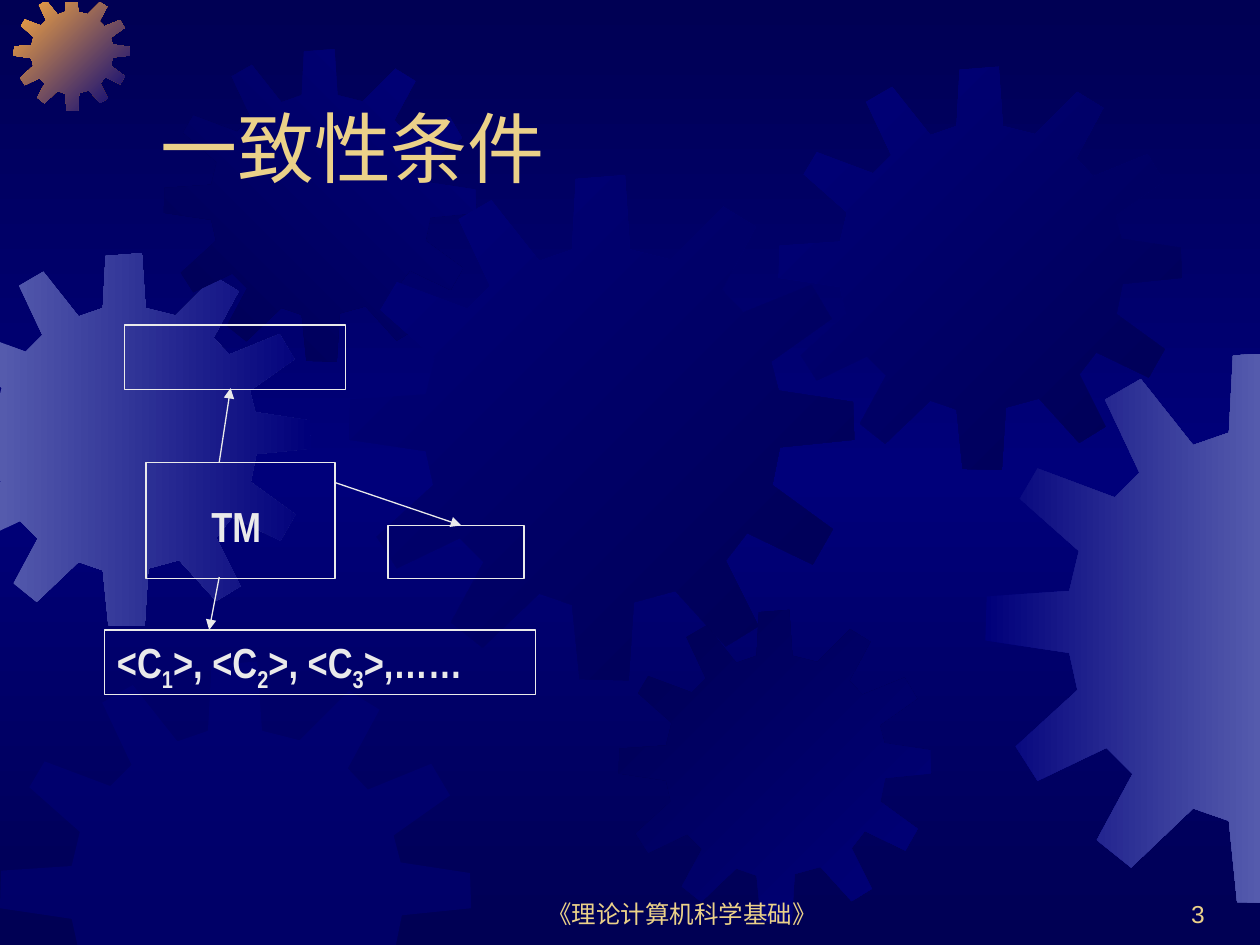
import copy

import pptx
import pptx.dml.color
import pptx.enum.shapes
import pptx.enum.text
import pptx.oxml
import pptx.oxml.ns
import pptx.util
from pptx.util import Inches

RGBColor = pptx.dml.color.RGBColor
PP_ALIGN = pptx.enum.text.PP_ALIGN
MSO_ANCHOR = pptx.enum.text.MSO_ANCHOR
qn = pptx.oxml.ns.qn

COLORS = {
    "dark": "000054",
    "blue": "00007A",
    "lilac": "555BAD",
    "orange": "FCAB40",
    "gold": "EBD189",
    "white": "EAEAEA",
}
GEAR_SIZE = 401
GEAR_OUTLINE = [
    (255, 67), (223, 59), (219, 0), (180, 3), (177, 59), (151, 68),
    (113, 20), (87, 35), (112, 88), (94, 106), (38, 85), (25, 107),
    (68, 145), (61, 174), (1, 178), (0, 210), (61, 219), (67, 246),
    (22, 287), (38, 312), (88, 288), (107, 307), (81, 355), (106, 375),
    (151, 332), (177, 341), (183, 400), (222, 401), (226, 339), (259, 330),
    (299, 374), (325, 358), (299, 306), (316, 284), (368, 309), (384, 281),
    (336, 246), (342, 216), (401, 210), (400, 180), (341, 171), (335, 148),
    (383, 114), (367, 87), (313, 109), (296, 91), (323, 41), (297, 25),
]
SLIDE_EDGES = [(0, 0, 1), (0, 10, -1), (1, 0.02, 1), (1, 7.5, -1)]


def set_gradient(fill, colors, clockwise_angle):
    fill.gradient()
    fill.gradient_angle = (360 - clockwise_angle) % 360
    for stop, color, position in zip(fill.gradient_stops, colors, (0, 1)):
        stop.color.rgb = RGBColor.from_string(COLORS[color])
        stop.position = position


def format_text(shape, size, font, color, bold=False, align=PP_ALIGN.LEFT, anchor=MSO_ANCHOR.TOP):
    text_frame = shape.text_frame
    text_frame.word_wrap = True
    text_frame.auto_size = pptx.enum.text.MSO_AUTO_SIZE.NONE
    text_frame.vertical_anchor = anchor
    for paragraph in text_frame.paragraphs:
        paragraph.alignment = align
        for run in paragraph.runs:
            run.font.size = pptx.util.Pt(size)
            run.font.name = font
            run.font.bold = bold
            run.font.color.rgb = RGBColor.from_string(COLORS[color])


presentation = pptx.Presentation()
presentation.slide_width = Inches(10)
presentation.slide_height = Inches(7.5)
slide = presentation.slides.add_slide(presentation.slide_layouts[5])
shapes = slide.shapes

set_gradient(slide.background.fill, ("dark", "dark"), 90)
stop_list = slide.element.find(".//" + qn("a:gsLst"))
stop_list.insert(1, copy.deepcopy(stop_list[0]))
middle_stop = slide.background.fill.gradient_stops[1]
middle_stop.position = 0.5
middle_stop.color.rgb = RGBColor.from_string(COLORS["blue"])

gears = [
    (-0.49, 2.01, 2.96, ("lilac", "blue"), 0),
    (0.11, -0.04, 0.92, ("orange", "blue"), 45),
    (1.3, 0.39, 2.48, ("dark", "blue"), 315),
    (2.77, 1.39, 4.01, ("blue", "dark"), 45),
    (0, 5.25, 3.74, ("blue",), 0),
    (4.91, 4.84, 2.48, ("dark", "blue"), 45),
    (6.18, 0.53, 3.2, ("blue", "dark"), 45),
    (7.82, 2.79, 4.38, ("blue", "lilac"), 0),
]
for left, top, size, colors, angle in gears:
    scale = size / GEAR_SIZE
    points = [(left + x * scale, top + y * scale) for x, y in GEAR_OUTLINE]
    for axis, limit, direction in SLIDE_EDGES:
        clipped = []
        for start, end in zip(points, points[1:] + points[:1]):
            start_depth = (start[axis] - limit) * direction
            end_depth = (end[axis] - limit) * direction
            if start_depth >= 0:
                clipped.append(start)
            if start_depth * end_depth < 0:
                share = start_depth / (start_depth - end_depth)
                clipped.append(tuple(a + (b - a) * share for a, b in zip(start, end)))
        points = clipped
    points = [(Inches(x), Inches(y)) for x, y in points]
    builder = shapes.build_freeform(*points[0])
    builder.add_line_segments(points[1:], close=True)
    gear = builder.convert_to_shape()
    gear.shadow.inherit = False
    gear.line.fill.background()
    if len(colors) == 2:
        set_gradient(gear.fill, colors, angle)
    else:
        gear.fill.solid()
        gear.fill.fore_color.rgb = RGBColor.from_string(COLORS[colors[0]])
        color_element = gear.element.spPr.find(".//" + qn("a:srgbClr"))
        color_element.append(pptx.oxml.parse_xml(
            f'<a:alpha {pptx.oxml.ns.nsdecls("a")} val="50000"/>'))

title = shapes.title
shapes.element.append(title.element)
title.left, title.top, title.width, title.height = map(Inches, (1.17, 0.33, 8.5, 1.25))
title.text_frame.text = "一致性条件"
format_text(title, 44, "Arial", "gold", anchor=MSO_ANCHOR.BOTTOM)

footers = [
    ("《理论计算机科学基础》", 3.83, 3.17, PP_ALIGN.CENTER),
    ("3", 7.58, 2.08, PP_ALIGN.RIGHT),
]
for text, left, width, align in footers:
    footer = shapes.add_textbox(Inches(left), Inches(6.92), Inches(width), Inches(0.5))
    footer.text_frame.text = text
    format_text(footer, 14, "Arial", "gold", align=align, anchor=MSO_ANCHOR.BOTTOM)

boxes = [
    (1.16, 3.67, 1.5, 0.92),
    (0.99, 2.58, 1.75, 0.51),
    (3.08, 4.17, 1.08, 0.42),
    (0.83, 5, 3.42, 0.51),
]
for bounds in boxes:
    box = shapes.add_shape(pptx.enum.shapes.MSO_SHAPE.RECTANGLE, *map(Inches, bounds))
    box.shadow.inherit = False
    box.fill.background()
    box.line.color.rgb = RGBColor.from_string(COLORS["white"])
    box.line.width = pptx.util.Pt(0.75)

configurations = box
paragraph = configurations.text_frame.paragraphs[0]
for text in ("<C", "1", ">, <C", "2", ">, <C", "3", ">,……"):
    run = paragraph.add_run()
    run.text = text
    if text.isdigit():
        run.font._element.set("baseline", "-25000")
format_text(configurations, 24, "Arial Narrow", "white", bold=True)

machine_label = shapes.add_textbox(Inches(1.58), Inches(3.92), Inches(0.75), Inches(0.5))
machine_label.text_frame.text = "TM"
format_text(machine_label, 24, "Arial Narrow", "white", bold=True)

arrows = [
    (1.74, 3.67, 1.83, 3.08),
    (1.74, 4.58, 1.66, 5),
    (2.66, 3.83, 3.66, 4.17),
]
for ends in arrows:
    arrow = shapes.add_connector(pptx.enum.shapes.MSO_CONNECTOR.STRAIGHT, *map(Inches, ends))
    arrow.line.color.rgb = RGBColor.from_string(COLORS["white"])
    arrow.line.width = pptx.util.Pt(0.75)
    arrow.line._get_or_add_ln().append(pptx.oxml.parse_xml(
        f'<a:tailEnd {pptx.oxml.ns.nsdecls("a")} type="triangle"/>'))
    arrow.element.spPr.append(pptx.oxml.parse_xml(
        f'<a:effectLst {pptx.oxml.ns.nsdecls("a")}/>'))

presentation.save("out.pptx")
